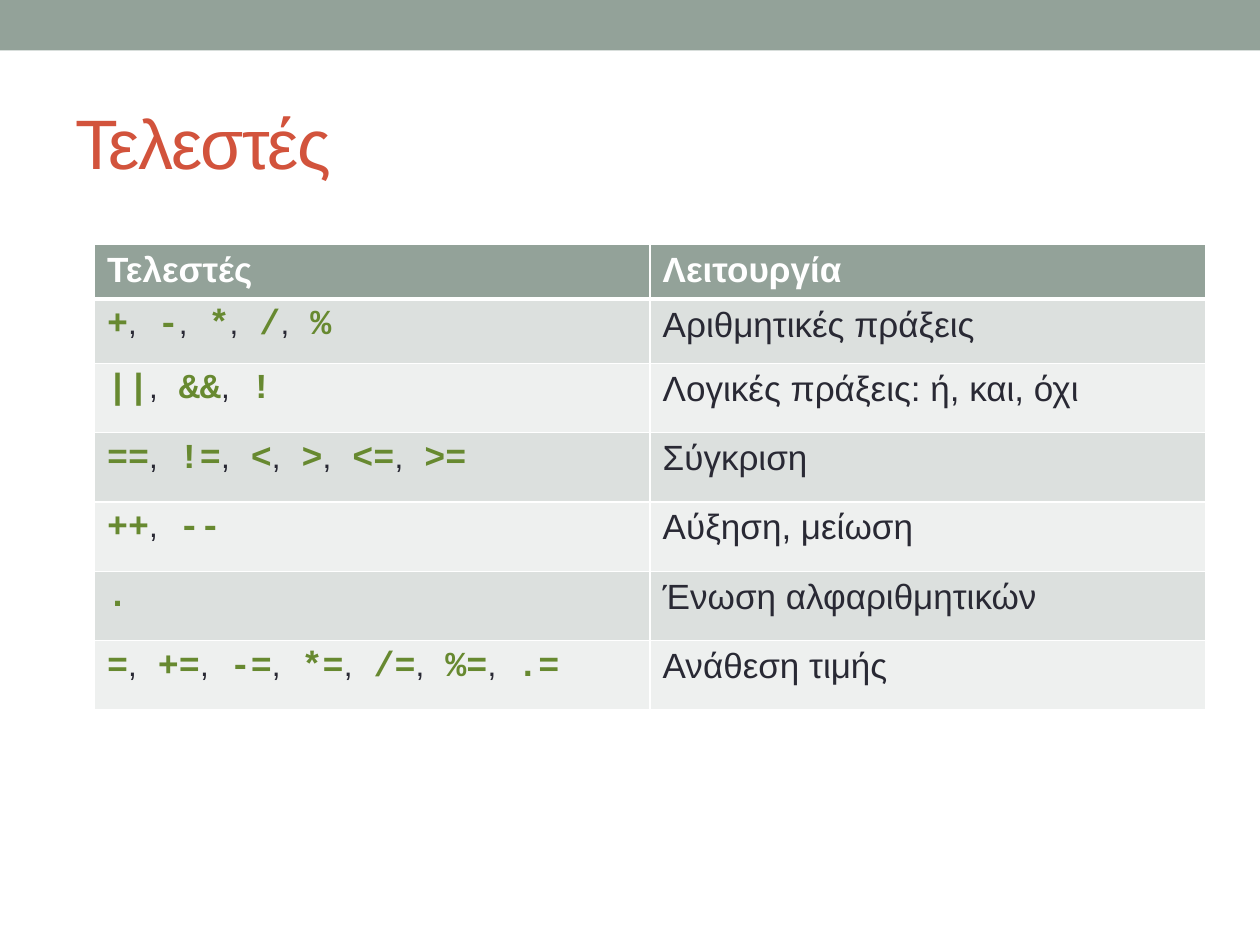
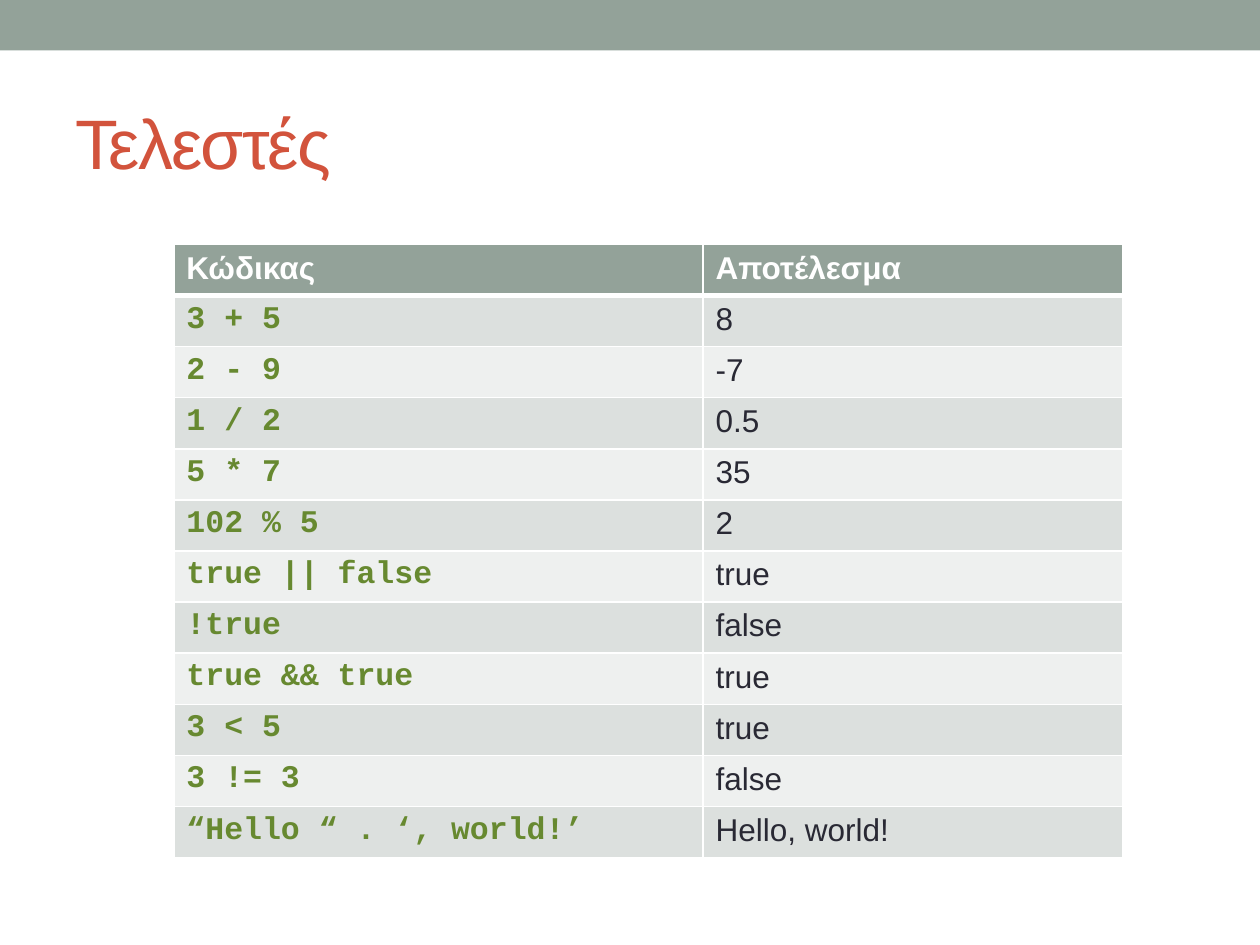
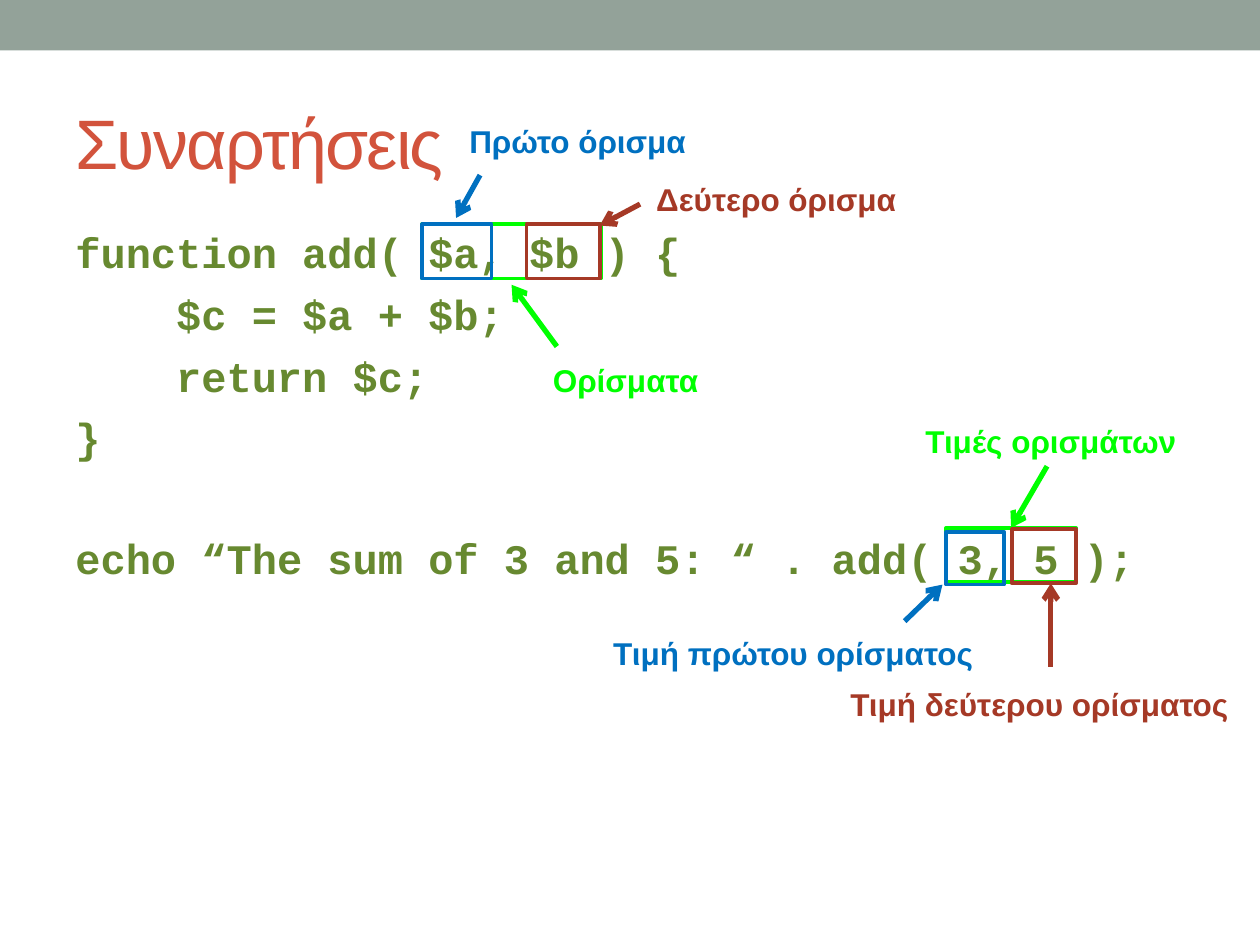
from lxml.etree import SubElement
from pptx import Presentation
from pptx.dml.color import RGBColor
from pptx.enum.shapes import MSO_CONNECTOR, MSO_SHAPE
from pptx.enum.text import MSO_ANCHOR, PP_ALIGN
from pptx.oxml.ns import qn
from pptx.util import Inches, Pt

SANS, MONO = "Arial", "Courier New"
BAND, TITLE, CODE, INK, WHITE = "93A299", "D2533C", "678930", "292934", "FFFFFF"
ROW_FILLS = "DCE0DE", "EEF0EF"
GREEN, BLUE, RED = "00FF00", "0070C0", "A53926"

OPERATORS = [
    ("Τελεστές", "Λειτουργία"),
    ("+ - * / %", "Αριθμητικές πράξεις"),
    ("|| && !", "Λογικές πράξεις: ή, και, όχι"),
    ("== != < > <= >=", "Σύγκριση"),
    ("++ --", "Αύξηση, μείωση"),
    (".", "Ένωση αλφαριθμητικών"),
    ("= += -= *= /= %= .=", "Ανάθεση τιμής"),
]
EXAMPLES = [
    ("Κώδικας", "Αποτέλεσμα"),
    ("3 + 5", "8"),
    ("2 - 9", "-7"),
    ("1 / 2", "0.5"),
    ("5 * 7", "35"),
    ("102 % 5", "2"),
    ("true || false", "true"),
    ("!true", "false"),
    ("true && true", "true"),
    ("3 < 5", "true"),
    ("3 != 3", "false"),
    ("“Hello “ . ‘, world!’", "Hello, world!"),
]
# text, left indent in inches, space before in points
FUNCTION_CODE = [
    ("function add( $a, $b ) {", 0, 6.5),
    ("$c = $a + $b;", 0.8, 6.5),
    ("return $c;", 0.8, 6.5),
    ("}", 0, 6.5),
    ("echo “The sum of 3 and 5: “ . add( 3, 5 );", 0, 40),
]
CENTER, LEFT = PP_ALIGN.CENTER, PP_ALIGN.LEFT
# text, colour, alignment, label box, outlined box, arrow start, arrow end (None: top of the box)
CALLOUTS = [
    ("Ορίσματα", GREEN, CENTER, (4.18, 2.82, 1.57, 0.4),
     (3.35, 1.78, 1.42, 0.43), (4.42, 2.75), (4.06, 2.26)),
    ("Τιμές ορισμάτων", GREEN, CENTER, (7.08, 3.3, 2.52, 0.4),
     (7.51, 4.19, 1.03, 0.43), (8.31, 3.7), None),
    ("Πρώτο όρισμα", BLUE, CENTER, (3.58, 0.92, 2.01, 0.4),
     (3.35, 1.78, 0.55, 0.43), (3.81, 1.39), (3.62, 1.73)),
    ("Δεύτερο όρισμα", RED, LEFT, (5.11, 1.38, 2.36, 0.4),
     (4.18, 1.78, 0.58, 0.43), (5.08, 1.62), (4.76, 1.79)),
    ("Τιμή πρώτου ορίσματος", BLUE, CENTER, (4.65, 4.98, 3.29, 0.4),
     (7.51, 4.22, 0.46, 0.42), (7.18, 4.93), (7.48, 4.64)),
    ("Τιμή δεύτερου ορίσματος", RED, LEFT, (6.65, 5.39, 3.31, 0.4),
     (8.03, 4.2, 0.51, 0.43), (8.34, 5.29), (8.34, 4.63)),
]


def color(value):
    return RGBColor.from_string(value)


def inches(values):
    return [Inches(value) for value in values]


def add_run(paragraph, text, size, ink, name=SANS, bold=False):
    run = paragraph.add_run()
    run.text = text
    font = run.font
    font.size, font.name, font.bold = Pt(size), name, bold
    font.color.rgb = color(ink)
    return run


def add_text_box(slide, box):
    frame = slide.shapes.add_textbox(*inches(box)).text_frame
    frame.word_wrap = True
    return frame


def add_rectangle(slide, box, fill=None, line=None):
    shape = slide.shapes.add_shape(MSO_SHAPE.RECTANGLE, *inches(box))
    shape.shadow.inherit = False
    if fill:
        shape.fill.solid()
        shape.fill.fore_color.rgb = color(fill)
    else:
        shape.fill.background()
    if line:
        shape.line.color.rgb = color(line)
        shape.line.width = Pt(2.08)
    else:
        shape.line.fill.background()
    return shape


def add_titled_slide(presentation, title):
    slide = presentation.slides.add_slide(presentation.slide_layouts[6])
    add_rectangle(slide, (0, 0, 10, 0.4), fill=BAND)
    frame = add_text_box(slide, (0.5, 0.58, 9, 1.08))
    frame.vertical_anchor = MSO_ANCHOR.MIDDLE
    run = add_run(frame.paragraphs[0], title, 40, TITLE)
    run.font._element.set("spc", "-100")
    return slide


def style_cell(cell, row):
    """Draw white borders, thicker under the header, and the row's fill."""
    properties = cell._tc.get_or_add_tcPr()
    widths = {"lnL": 1, "lnR": 1, "lnT": 3 if row == 1 else 1, "lnB": 3 if row == 0 else 1}
    for side, width in widths.items():
        border = SubElement(properties, qn(f"a:{side}"), w=str(Pt(width)))
        SubElement(SubElement(border, qn("a:solidFill")), qn("a:srgbClr"), val=WHITE)
    cell.fill.solid()
    cell.fill.fore_color.rgb = color(ROW_FILLS[(row - 1) % 2] if row else BAND)


def add_code_table(slide, rows, left, widths, heights, size, split_code=False):
    """Code in the first column, its meaning in the second."""
    frame = slide.shapes.add_table(
        len(rows), 2, *inches((left, 1.94, sum(widths), sum(heights))))
    table = frame.table
    for column, width in zip(table.columns, widths):
        column.width = Inches(width)
    for row, (texts, height) in enumerate(zip(rows, heights)):
        table.rows[row].height = Inches(height)
        for column, text in enumerate(texts):
            cell = table.cell(row, column)
            style_cell(cell, row)
            paragraph = cell.text_frame.paragraphs[0]
            if row == 0:
                add_run(paragraph, text, size, WHITE, bold=True)
            elif column == 1:
                add_run(paragraph, text, size, INK)
            else:
                for index, part in enumerate(text.split() if split_code else [text]):
                    if index:
                        add_run(paragraph, ",", 18, INK)
                        part = " " + part
                    add_run(paragraph, part, size, CODE, MONO, True)


def add_arrow(slide, start, end, ink):
    arrow = slide.shapes.add_connector(MSO_CONNECTOR.STRAIGHT, *inches(start + end))
    arrow.line.color.rgb = color(ink)
    arrow.line.width = Pt(3)
    SubElement(arrow.line._get_or_add_ln(), qn("a:tailEnd"), type="arrow")
    SubElement(arrow._element.spPr, qn("a:effectLst"))
    return arrow


def add_callout(slide, text, ink, alignment, label_box, target_box, start, end):
    target = add_rectangle(slide, target_box, line=ink)
    arrow = add_arrow(slide, start, end or target_box[:2], ink)
    if end is None:
        arrow.end_connect(target, 0)
    paragraph = add_text_box(slide, label_box).paragraphs[0]
    paragraph.alignment = alignment
    add_run(paragraph, text, 18, ink, bold=True)


def add_function_code(slide):
    frame = add_text_box(slide, (0.5, 1.75, 9, 5.33))
    for index, (text, indent, space) in enumerate(FUNCTION_CODE):
        paragraph = frame.add_paragraph() if index else frame.paragraphs[0]
        paragraph.space_before = Pt(space)
        paragraph._p.get_or_add_pPr().set("marL", str(Inches(indent)))
        add_run(paragraph, text, 24, CODE, MONO, True)


def main():
    presentation = Presentation()
    presentation.slide_width, presentation.slide_height = Inches(10), Inches(7.5)

    slide = add_titled_slide(presentation, "Τελεστές")
    add_code_table(slide, OPERATORS, 0.75, (4.41, 4.41),
                   [0.39, 0.51] + [0.55] * 5, 20, split_code=True)

    slide = add_titled_slide(presentation, "Τελεστές")
    add_code_table(slide, EXAMPLES, 1.38, (4.2, 3.33), [4.87 / 12] * 12, 18)

    slide = add_titled_slide(presentation, "Συναρτήσεις")
    add_function_code(slide)
    for callout in CALLOUTS:
        add_callout(slide, *callout)

    presentation.save("out.pptx")


if __name__ == "__main__":
    main()
